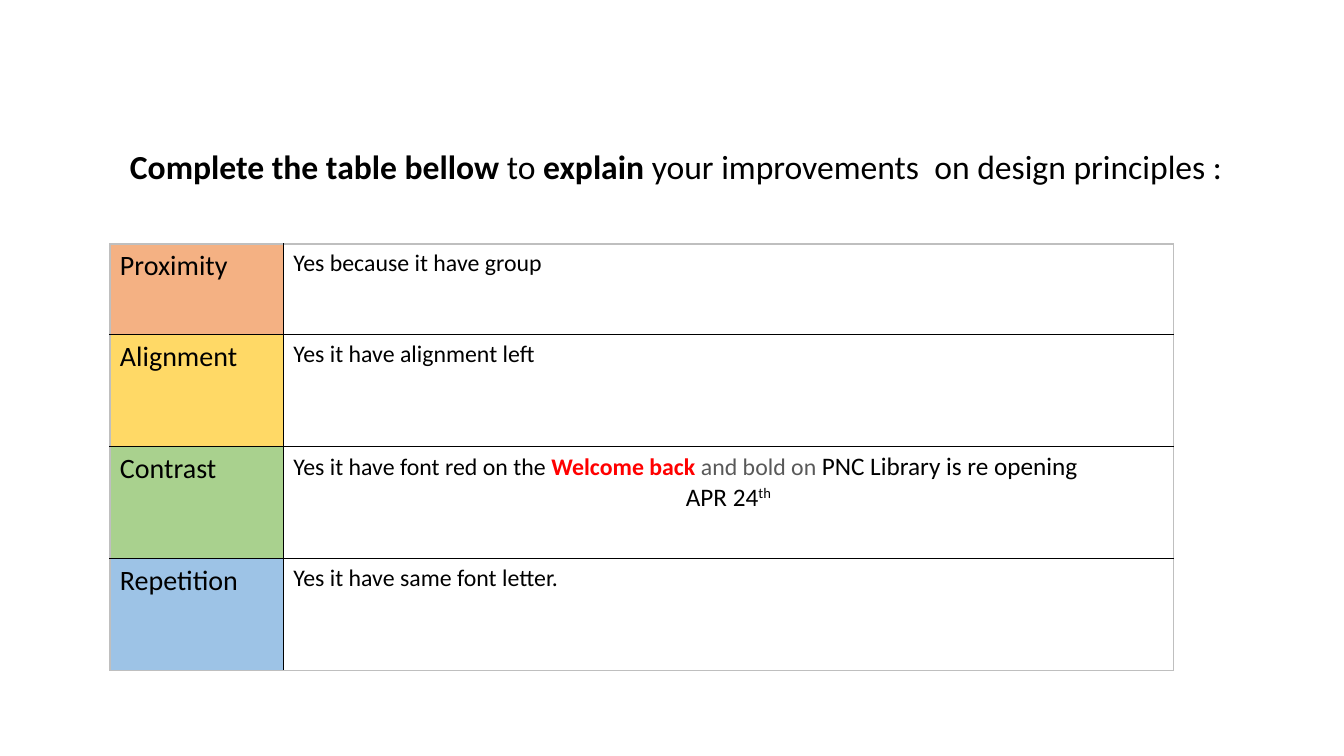
from lxml.etree import SubElement as Sub
from pptx import Presentation
from pptx.dml.color import RGBColor
from pptx.enum.text import MSO_AUTO_SIZE as Auto, PP_ALIGN as Align
from pptx.oxml.ns import qn
from pptx.util import Inches, Pt

BLACK, GRAY, WHITE = "000000", "BFBFBF", "FFFFFF"
COLS = [1.72, 8.83]
ROWS = [0.9, 1.11, 1.11, 1.11]

TITLE = [("Complete the table bellow ", {"bold": True}), ("to ", {}),
         ("explain", {"bold": True}),
         (" your improvements  on design principles :", {})]

# Each row: label, fill, then paragraphs of (runs, size, alignment)
TABLE = [
    ("Proximity", "F4B183",
     [([("Yes because it have group", {})], 17, Align.LEFT)]),
    ("Alignment", "FFD966",
     [([("Yes it have alignment left", {})], 17, Align.LEFT)]),
    ("Contrast", "A9D18E",
     [([("Yes it have font red on the ", {}),
        ("Welcome back ", {"bold": True, "color": "FF0000"}),
        ("and bold on ", {"color": "595959"}),
        ("PNC Library is re opening", {"size": 18})], 17, Align.JUSTIFY),
      ([("APR 24", {}), ("th", {"raised": True})], 18, Align.CENTER)]),
    ("Repetition", "9DC3E6",
     [([("Yes it have same font letter.", {})], 17, Align.LEFT)]),
]


def rgb(color):
    return RGBColor.from_string(color)


def write(para, runs, size, align=Align.LEFT):
    para.alignment = align
    font = para.font
    font.name, font.size = "Calibri", Pt(size)
    font.color.rgb = rgb(BLACK)
    for text, look in runs:
        run = para.add_run()
        run.text = text
        if "bold" in look:
            run.font.bold = look["bold"]
        if "color" in look:
            run.font.color.rgb = rgb(look["color"])
        if "size" in look:
            run.font.size = Pt(look["size"])
        if "raised" in look:
            run._r.get_or_add_rPr().set("baseline", "30000")


def paint(cell, color, edges):
    """Set the fill and the left, right, top and bottom border colours."""
    cell.fill.solid()
    cell.fill.fore_color.rgb = rgb(color)
    props = cell._tc.get_or_add_tcPr()
    for spot, (side, edge) in enumerate(zip("LRTB", edges)):
        line = props.makeelement(qn(f"a:ln{side}"), {"w": str(Pt(1))})
        props.insert(spot, line)
        fill = Sub(line, qn("a:solidFill"))
        Sub(fill, qn("a:srgbClr"), val=edge)


def add_title(slide, left, top, width, height):
    box = slide.shapes.add_textbox(*map(Inches, (left, top, width, height)))
    frame = box.text_frame
    frame.word_wrap = True
    frame.auto_size = Auto.SHAPE_TO_FIT_TEXT
    write(frame.paragraphs[0], TITLE, 24, Align.CENTER)


def add_grid(slide, left, top):
    size = map(Inches, (left, top, sum(COLS), sum(ROWS)))
    grid = slide.shapes.add_table(len(ROWS), len(COLS), *size).table
    grid.first_row = grid.horz_banding = False
    for col, width in zip(grid.columns, COLS):
        col.width = Inches(width)
    for row, height in zip(grid.rows, ROWS):
        row.height = Inches(height)
    last = len(ROWS) - 1
    for r, (label, color, paras) in enumerate(TABLE):
        head, body = grid.cell(r, 0), grid.cell(r, 1)
        above = GRAY if r == 0 else BLACK
        below = GRAY if r == last else BLACK
        paint(head, color, (GRAY, BLACK, above, below))
        paint(body, WHITE, (BLACK, GRAY, above, below))
        write(head.text_frame.paragraphs[0], [(label, {})], 20)
        frame = body.text_frame
        for i, (runs, points, align) in enumerate(paras):
            para = frame.add_paragraph() if i else frame.paragraphs[0]
            write(para, runs, points, align)


def main():
    deck = Presentation()
    deck.slide_width, deck.slide_height = Inches(13.33), Inches(7.5)
    slide = deck.slides.add_slide(deck.slide_layouts[6])
    add_grid(slide, 1.09, 2.42)
    add_title(slide, 0.93, 1.4, 11.55, 0.5)
    deck.save("out.pptx")


if __name__ == "__main__":
    main()
